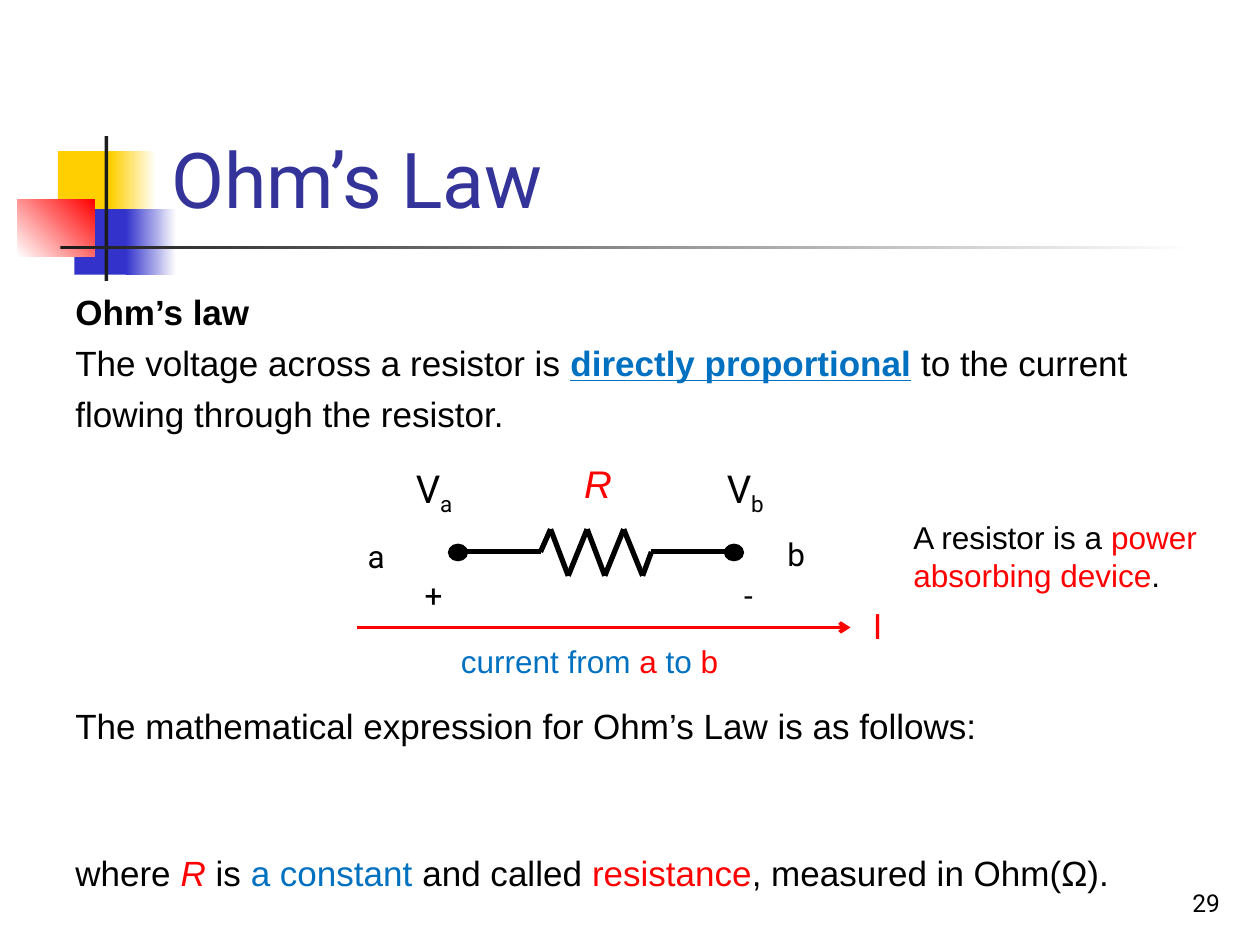
"""Build the Ohm's Law slide with its resistor diagram."""
from itertools import pairwise
from typing import NamedTuple, Optional

import pptx
import pptx.dml.color
import pptx.enum.shapes
import pptx.enum.text
import pptx.oxml
import pptx.oxml.ns
import pptx.util
from pptx.util import Inches

COLORS = {
    "black": "000000", "charcoal": "1C1C1C", "white": "FFFFFF", "red": "FF0000",
    "yellow": "FFCF01", "blue": "3333CC", "title": "333399", "accent": "0070C0",
}
SHAPES = pptx.enum.shapes.MSO_SHAPE
ALIGN = pptx.enum.text.PP_ALIGN
ANCHOR = pptx.enum.text.MSO_ANCHOR


class Span(NamedTuple):
    text: str
    color: str = "black"
    bold: bool = False
    italic: bool = False
    underline: bool = False
    subscript: bool = False


class Block(NamedTuple):
    left: float
    top: float
    width: float
    height: float
    start: str
    end: Optional[str] = None
    angle: float = 0


class Label(NamedTuple):
    left: float
    top: float
    width: float
    height: float
    spans: list[Span]
    size: float = 18
    font: str = "Roboto"
    align: ALIGN = ALIGN.CENTER


ORNAMENT = [
    Block(0.46, 1.2, 0.48, 0.52, "yellow"),
    Block(0.88, 1.2, 0.36, 0.52, "yellow", "white"),
    Block(0.59, 1.66, 0.46, 0.52, "blue"),
    Block(1, 1.66, 0.4, 0.52, "blue", "white"),
    Block(0.14, 1.58, 0.61, 0.46, "white", "red", 45),
    Block(0.83, 1.08, 0.03, 1.15, "charcoal"),
    Block(0.48, 1.95, 9, 0.03, "charcoal", "white"),
]
DEFINITION = [
    [Span("Ohm’s law", bold=True)],
    [Span("The voltage across a resistor is "),
     Span("directly proportional", "accent", bold=True, underline=True),
     Span(" to the current")],
    [Span("flowing through the resistor.")],
]
EXPRESSION = [[Span("The mathematical expression for Ohm’s Law is as follows:")]]
RESISTANCE = [[
    Span("where "), Span("R", "red", italic=True), Span(" is "),
    Span("a constant ", "accent"), Span("and called "),
    Span("resistance", "red"), Span(", measured in Ohm(Ω)."),
]]
BODY = [(2.26, 1.2, DEFINITION), (5.54, 0.42, EXPRESSION), (6.71, 0.42, RESISTANCE)]
RESISTOR = [
    (3.64, 4.38), (4.29, 4.38), (4.37, 4.2), (4.51, 4.57), (4.66, 4.2),
    (4.8, 4.57), (4.95, 4.2), (5.1, 4.57), (5.17, 4.38), (5.83, 4.38),
]
LABELS = [
    Label(3.08, 3.64, 0.73, 0.47, [Span("V"), Span("a", subscript=True)], 22),
    Label(5.53, 3.64, 0.77, 0.47, [Span("V"), Span("b", subscript=True)], 22),
    Label(4.37, 3.6, 0.75, 0.47, [Span("R", "red", italic=True)], 22, "Arial"),
    Label(6.58, 4.75, 0.77, 0.44, [Span("I", "red")], 20),
    Label(3.18, 4.52, 0.52, 0.4, [Span("+")]),
    Label(5.68, 4.52, 0.52, 0.4, [Span("-")]),
    Label(2.82, 4.21, 0.51, 0.4, [Span("a")], align=ALIGN.LEFT),
    Label(6.15, 4.2, 0.51, 0.4, [Span("b")], align=ALIGN.LEFT),
    Label(3.56, 5.05, 2.75, 0.4,
          [Span("current from ", "accent"), Span("a", "red"),
           Span(" to ", "accent"), Span("b", "red")], font="Arial", align=ALIGN.LEFT),
    Label(7.15, 4.06, 2.61, 0.71,
          [Span("A resistor is a "), Span("power absorbing device", "red"), Span(".")],
          font="Arial", align=ALIGN.LEFT),
]


def rgb(name: str) -> pptx.dml.color.RGBColor:
    """Return a named colour."""
    return pptx.dml.color.RGBColor.from_string(COLORS[name])


def add_text(slide, left: float, top: float, width: float, height: float,
             paragraphs: list[list[Span]], *, size: float, font: str = "Arial",
             align: ALIGN = ALIGN.LEFT, anchor: ANCHOR = ANCHOR.TOP,
             space_before: float = 0) -> None:
    """Add a wrapped text box of formatted paragraphs."""
    box = slide.shapes.add_textbox(Inches(left), Inches(top), Inches(width), Inches(height))
    frame = box.text_frame
    frame.word_wrap = True
    frame.vertical_anchor = anchor
    for index, spans in enumerate(paragraphs):
        paragraph = frame.add_paragraph() if index else frame.paragraphs[0]
        paragraph.alignment = align
        paragraph.space_before = pptx.util.Pt(space_before if index else 0)
        for span in spans:
            run = paragraph.add_run()
            run.text = span.text
            run.font.name = font
            run.font.size = pptx.util.Pt(size)
            run.font.color.rgb = rgb(span.color)
            run.font.bold = span.bold
            run.font.italic = span.italic
            run.font.underline = span.underline
            if span.subscript:
                run._r.get_or_add_rPr().set("baseline", "-25000")


def add_block(slide, block: Block) -> None:
    """Add a solid or gradient rectangle of the ornament."""
    rectangle = slide.shapes.add_shape(
        SHAPES.RECTANGLE, Inches(block.left), Inches(block.top),
        Inches(block.width), Inches(block.height))
    rectangle.shadow.inherit = False
    rectangle.line.fill.background()
    if block.end is None:
        rectangle.fill.solid()
        rectangle.fill.fore_color.rgb = rgb(block.start)
        return
    rectangle.fill.gradient()
    rectangle.fill.gradient_angle = block.angle
    for position, (stop, color) in enumerate(
            zip(rectangle.fill.gradient_stops, (block.start, block.end))):
        stop.position = position
        stop.color.rgb = rgb(color)


def add_terminal(slide, left: float) -> None:
    """Add a round terminal of the resistor."""
    terminal = slide.shapes.add_shape(
        SHAPES.OVAL, Inches(left), Inches(4.32), Inches(0.15), Inches(0.13))
    terminal.shadow.inherit = False
    terminal.fill.solid()
    terminal.fill.fore_color.rgb = rgb("black")
    terminal.line.color.rgb = rgb("black")
    terminal.line.width = pptx.util.Pt(0.75)


def add_line(slide, start: tuple[float, float], end: tuple[float, float], color: str,
             width: float, arrow: bool = False) -> None:
    """Add a straight line, with an arrowhead at its end if wanted."""
    line = slide.shapes.add_connector(
        pptx.enum.shapes.MSO_CONNECTOR.STRAIGHT, *map(Inches, start + end))
    line.line.color.rgb = rgb(color)
    line.line.width = pptx.util.Pt(width)
    if arrow:
        head = pptx.oxml.parse_xml(
            f'<a:tailEnd {pptx.oxml.ns.nsdecls("a")} type="arrow"/>')
        line.line._get_or_add_ln().append(head)
    line._element.spPr.append(
        pptx.oxml.parse_xml(f'<a:effectLst {pptx.oxml.ns.nsdecls("a")}/>'))


def main() -> None:
    """Build and save the slide."""
    deck = pptx.Presentation()
    deck.slide_width, deck.slide_height = Inches(10), Inches(7.5)
    slide = deck.slides.add_slide(deck.slide_layouts[6])
    for block in ORNAMENT:
        add_block(slide, block)
    add_text(slide, 1.26, 0.23, 8.52, 1.6, [[Span("Ohm’s Law", "title")]],
             size=44, font="Roboto", anchor=ANCHOR.BOTTOM)
    add_text(slide, 7.7, 6.83, 2.08, 0.5, [[Span("29")]],
             size=14, font="Roboto", align=ALIGN.RIGHT, anchor=ANCHOR.BOTTOM)
    for top, height, paragraphs in BODY:
        add_text(slide, 0.5, top, 9.5, height, paragraphs, size=20, space_before=5)
    for start, end in pairwise(RESISTOR):
        add_line(slide, start, end, "black", 3)
    for left in (3.56, 5.75):
        add_terminal(slide, left)
    add_line(slide, (2.83, 4.98), (6.75, 4.98), "red", 2, arrow=True)
    for label in LABELS:
        add_text(slide, label.left, label.top, label.width, label.height, [label.spans],
                 size=label.size, font=label.font, align=label.align)
    deck.save("out.pptx")


if __name__ == "__main__":
    main()
